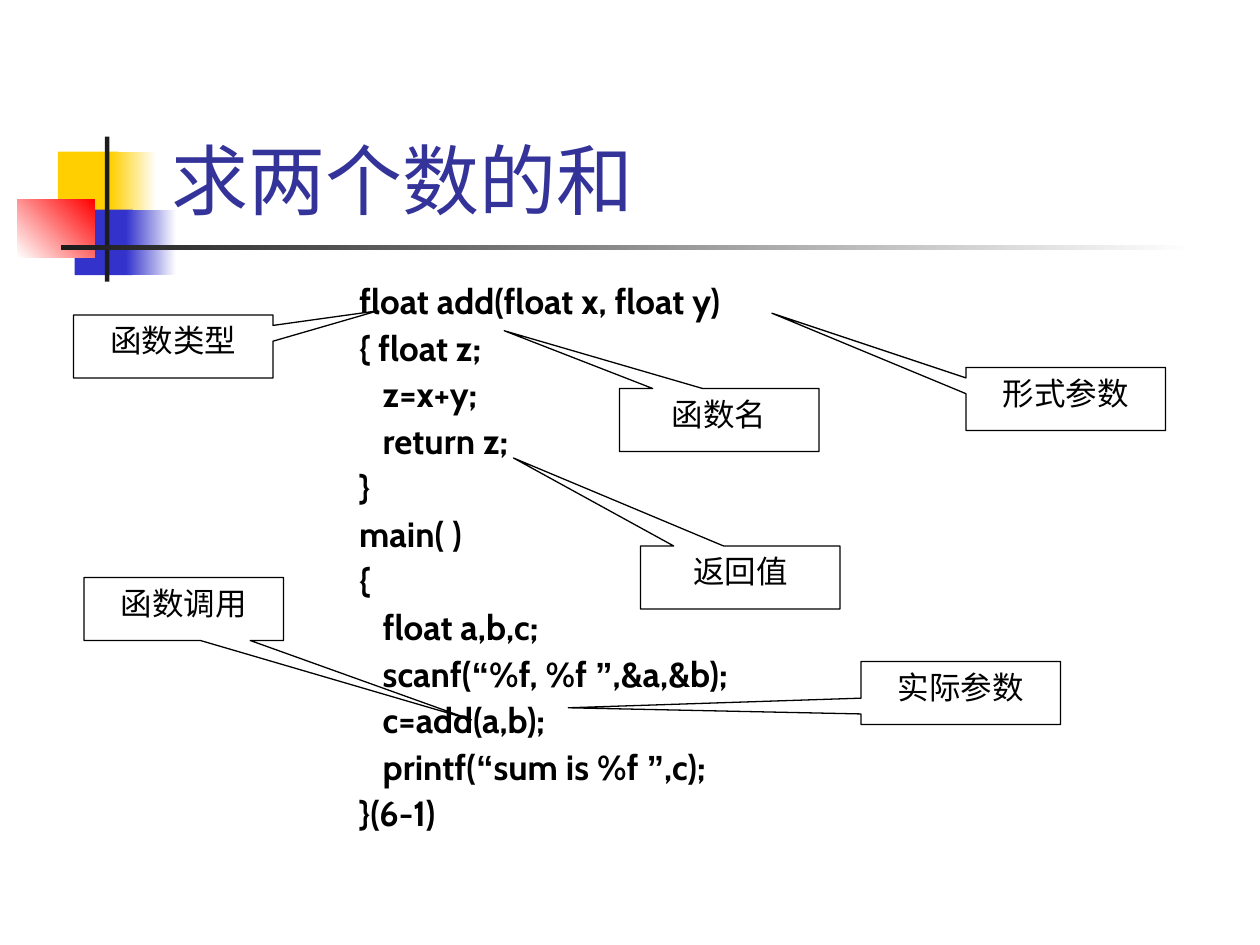
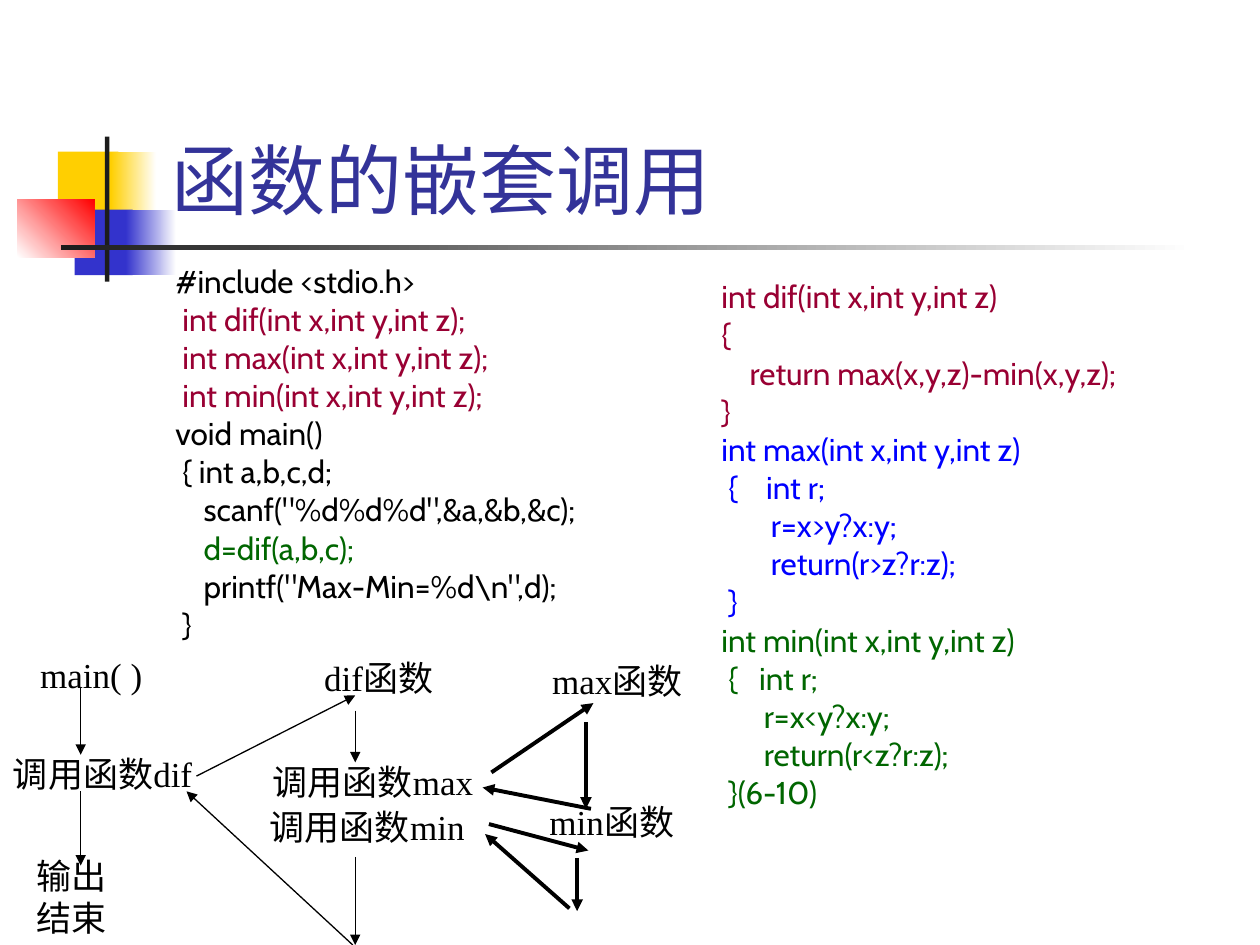
"""Build two slides on C functions: an annotated example and nested calls."""
from dataclasses import dataclass
from itertools import groupby

from lxml import etree
from pptx import Presentation
from pptx.dml.color import RGBColor
from pptx.enum import shapes, text
from pptx.oxml.ns import qn
from pptx.util import Pt


@dataclass(frozen=True)
class Theme:
    """Colours, fonts and type sizes shared by the slides."""
    title: str = "333399"
    ink: str = "000000"
    paper: str = "FFFFFF"
    bar: str = "1C1C1C"
    yellow: str = "FFCF01"
    blue: str = "3333CC"
    red: str = "FF0000"
    dif: str = "990033"
    max: str = "0000FF"
    min: str = "006600"
    font: str = "Cabin"
    quote_font: str = "Arial"
    flow_font: str = "Times New Roman"
    title_size: int = 44
    code_size: int = 20
    small_code_size: int = 18
    callout_size: int = 18
    flow_size: int = 20


T = Theme()

TITLE_BOX = (90.7, 17, 613.4, 115.2)
CODE_SIZE = (300, 324)
CALLOUT_SIZE = (114, 36)

DECORATION = [
    ((33.1, 86.6, 34.6, 37.4), (T.yellow,), 0),
    ((63.4, 86.6, 25.9, 37.4), (T.yellow, T.paper), 0),
    ((42.7, 119.8, 33.1, 37.4), (T.blue,), 0),
    ((72, 119.8, 28.8, 37.4), (T.blue, T.paper), 0),
    ((10, 113.8, 44, 33.1), (T.paper, T.red), 45),
    ((60, 78.1, 2.5, 82.8), (T.bar,), 0),
    ((34.6, 140.1, 648, 2.8), (T.bar, T.paper), 0),
]

ADD_TITLE = "求两个数的和"
ADD_CODE = [(T.ink, """float add(float x, float y)
{ float z;
   z=x+y;
   return z;
}
main( )
{
   float a,b,c;
   scanf(“%f, %f ”,&a,&b);
   c=add(a,b);
   printf(“sum is %f ”,c);
}(6-1)""")]

CALLOUTS = [
    ("函数调用", (48, 330), (269.5, 411.4)),
    ("实际参数", (492, 378), (324.7, 404.5)),
    ("形式参数", (552, 210), (441.1, 179)),
    ("函数名", (354, 222), (288.1, 189)),
    ("函数类型", (42, 180), (216, 177.6)),
    ("返回值", (366, 312), (293.4, 261.7)),
]

NESTED_TITLE = "函数的嵌套调用"
MAIN_CODE = [
    (T.ink, "#include <stdio.h>"),
    (T.dif, """ int dif(int x,int y,int z);
 int max(int x,int y,int z);
 int min(int x,int y,int z);"""),
    (T.ink, """void main()
 { int a,b,c,d;
    scanf("%d%d%d",&a,&b,&c);"""),
    (T.min, "    d=dif(a,b,c);"),
    (T.ink, """    printf("Max-Min=%d\\n",d);
 }"""),
]
FUNCTION_CODE = [
    (T.dif, """int dif(int x,int y,int z)
{
    return max(x,y,z)-min(x,y,z);
}"""),
    (T.max, """int max(int x,int y,int z)
 {    int r;
       r=x>y?x:y;
       return(r>z?r:z);
 }"""),
    (T.min, """int min(int x,int y,int z)
 {   int r;
      r=x<y?x:y;
      return(r<z?r:z);
 }(6-10)"""),
]

FLOW_LABELS = [
    (("main( )",), (15.8, 369.4, 72.7, 31.7)),
    (("调用函数dif",), (-2.2, 426.2, 121.7, 31.7)),
    (("输出", "结束"), (13.7, 484.6, 54, 55.4)),
    (("dif函数",), (175.7, 371.5, 81.4, 31.7)),
    (("max函数",), (306, 373, 93.6, 31.7)),
    (("调用函数max",), (146.2, 430.6, 133.9, 31.7)),
    (("调用函数min",), (144.7, 456.5, 130.3, 31.7)),
    (("min函数",), (304.6, 453.6, 90, 31.7)),
]
FLOW_ARROWS = {
    0.75: [
        (46.1, 393.1, 46.1, 431.3),
        (46.1, 452.2, 46.1, 494.6),
        (112.3, 443.5, 203, 397.4),
        (203, 406.1, 203, 435.6),
        (203, 489.6, 203, 540),
        (201.6, 540, 106.6, 452.2),
    ],
    2.25: [
        (280.8, 441.4, 339.1, 401.8),
        (334.8, 412.6, 334.8, 462.2),
        (337.7, 462.2, 275.8, 450),
        (279.4, 470.9, 336.2, 486),
        (329.8, 490.3, 329.8, 520.6),
        (325.4, 519.1, 277.2, 476.6),
    ],
}


def points(values):
    return [Pt(v) for v in values]


def rgb(value):
    return RGBColor.from_string(value)


def add_run(p, words, size, color, font=T.font, bold=False):
    r = p.add_run()
    r.text = words
    r.font.name, r.font.size, r.font.bold = font, Pt(size), bold
    r.font.color.rgb = rgb(color)


def place(sp, box):
    sp.left, sp.top, sp.width, sp.height = points(box)
    sp.text_frame.auto_size = text.MSO_AUTO_SIZE.NONE
    return sp.text_frame


def add_slide(prs, layout, title):
    slide = prs.slides.add_slide(prs.slide_layouts[layout])
    tf = place(slide.shapes.title, TITLE_BOX)
    tf.vertical_anchor = text.MSO_ANCHOR.BOTTOM
    p = tf.paragraphs[0]
    p.alignment = text.PP_ALIGN.LEFT
    add_run(p, title, T.title_size, T.title)
    return slide


def fill_code(sp, corner, blocks, size, spacing, bold=False):
    tf = place(sp, (*corner, *CODE_SIZE))
    lines = [(color, line) for color, code in blocks for line in code.split("\n")]
    for i, (color, line) in enumerate(lines):
        p = tf.add_paragraph() if i else tf.paragraphs[0]
        pPr = p._p.get_or_add_pPr()
        pPr.set("marL", str(Pt(27)))
        pPr.set("indent", str(-Pt(27)))
        etree.SubElement(pPr, qn("a:buNone"))
        p.line_spacing = spacing
        p.space_before = Pt(size / 4 if i else 0)
        for quoted, chars in groupby(line, lambda c: c in "“”"):
            add_run(p, "".join(chars), size, color,
                    T.quote_font if quoted else T.font, bold)


def decorate_master(prs, slide):
    tree = prs.slide_master.shapes._spTree
    for i, (box, colors, angle) in enumerate(DECORATION):
        sp = slide.shapes.add_shape(shapes.MSO_SHAPE.RECTANGLE, *points(box))
        sp.shadow.inherit = False
        sp.line.fill.background()
        if len(colors) == 1:
            sp.fill.solid()
            sp.fill.fore_color.rgb = rgb(colors[0])
        else:
            sp.fill.gradient()
            sp.fill.gradient_angle = angle
            for stop, color in zip(sp.fill.gradient_stops, colors):
                stop.color.rgb = rgb(color)
        sp._element.nvSpPr.cNvPr.set("id", str(100 + i))
        tree.append(sp._element)


def add_callout(slide, label, corner, tip):
    sp = slide.shapes.add_shape(shapes.MSO_SHAPE.RECTANGULAR_CALLOUT,
                                *points(corner + CALLOUT_SIZE))
    for i in range(2):
        sp.adjustments[i] = (tip[i] - corner[i]) / CALLOUT_SIZE[i] - 0.5
    sp.shadow.inherit = False
    sp.fill.solid()
    sp.fill.fore_color.rgb = rgb(T.paper)
    sp.line.color.rgb = rgb(T.ink)
    sp.line.width = Pt(0.75)
    sp.text_frame.vertical_anchor = text.MSO_ANCHOR.TOP
    p = sp.text_frame.paragraphs[0]
    p.alignment = text.PP_ALIGN.CENTER
    add_run(p, label, T.callout_size, T.ink)


def add_flow_label(slide, lines, box):
    tf = place(slide.shapes.add_textbox(*points(box)), box)
    tf.word_wrap = False
    tf.margin_left = tf.margin_right = 0
    tf.vertical_anchor = text.MSO_ANCHOR.MIDDLE
    for i, line in enumerate(lines):
        p = tf.add_paragraph() if i else tf.paragraphs[0]
        p.alignment = text.PP_ALIGN.CENTER
        add_run(p, line, T.flow_size, T.ink, T.flow_font)


def add_arrow(slide, ends, width):
    line = slide.shapes.add_connector(shapes.MSO_CONNECTOR.STRAIGHT, *points(ends))
    line.line.color.rgb = rgb(T.ink)
    line.line.width = Pt(width)
    etree.SubElement(line.line._get_or_add_ln(), qn("a:tailEnd"), type="triangle")
    etree.SubElement(line._element.spPr, qn("a:effectLst"))


def main():
    prs = Presentation()
    prs.slide_width, prs.slide_height = Pt(720), Pt(540)

    slide = add_slide(prs, 1, ADD_TITLE)
    decorate_master(prs, slide)
    fill_code(slide.placeholders[1], (198, 159), ADD_CODE, T.code_size, 0.9, True)
    for callout in CALLOUTS:
        add_callout(slide, *callout)

    slide = add_slide(prs, 3, NESTED_TITLE)
    fill_code(slide.placeholders[1], (93, 150), MAIN_CODE, T.small_code_size, 0.8)
    fill_code(slide.placeholders[2], (405, 159), FUNCTION_CODE, T.small_code_size, 0.8)
    for label in FLOW_LABELS:
        add_flow_label(slide, *label)
    for width, arrows in FLOW_ARROWS.items():
        for ends in arrows:
            add_arrow(slide, ends, width)

    prs.save("out.pptx")


if __name__ == "__main__":
    main()
